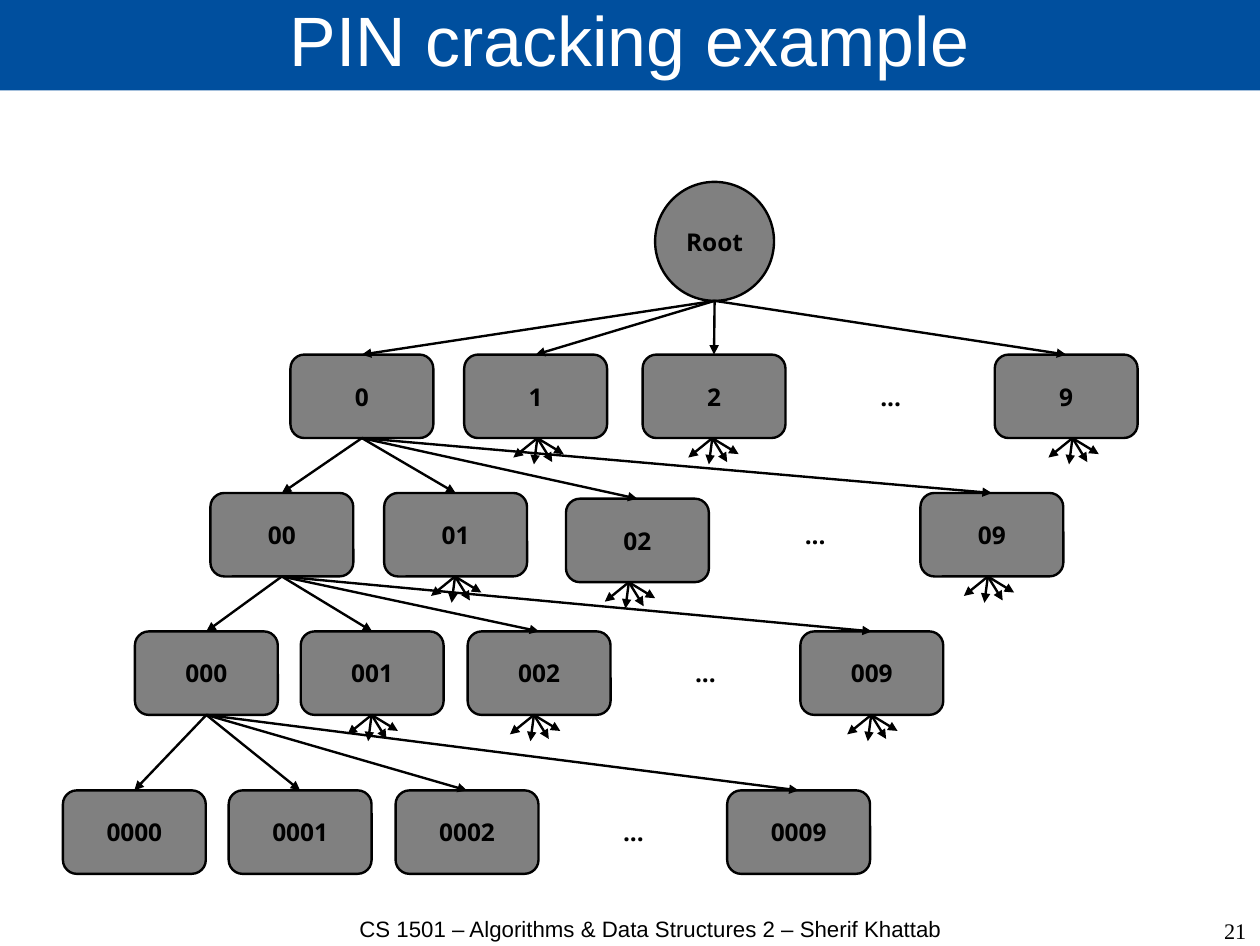
from dataclasses import dataclass

from lxml import etree
from pptx import Presentation
from pptx.dml.color import RGBColor
from pptx.enum.shapes import MSO_CONNECTOR, MSO_SHAPE
from pptx.enum.text import MSO_ANCHOR, PP_ALIGN
from pptx.oxml.ns import qn
from pptx.util import Inches, Pt

RECT, ROUND, OVAL = MSO_SHAPE.RECTANGLE, MSO_SHAPE.ROUNDED_RECTANGLE, MSO_SHAPE.OVAL
STRAIGHT = MSO_CONNECTOR.STRAIGHT
CENTER, RIGHT = PP_ALIGN.CENTER, PP_ALIGN.RIGHT
TOP, MIDDLE, BOTTOM = MSO_ANCHOR.TOP, MSO_ANCHOR.MIDDLE, MSO_ANCHOR.BOTTOM


@dataclass(frozen=True)
class Theme:
    blue: RGBColor = RGBColor(0x00, 0x4F, 0x9E)
    gray: RGBColor = RGBColor(0x80, 0x80, 0x80)
    black: RGBColor = RGBColor(0, 0, 0)
    white: RGBColor = RGBColor(0xFF, 0xFF, 0xFF)
    head_font: str = "Arial"
    node_font: str = "Open Sans"
    page_font: str = "Times New Roman"
    head_size: float = 44
    node_size: float = 15.4
    foot_size: float = 14
    stroke: float = 1.5


BOX_W, BOX_H = 1.25, 0.73
DOTS_W, DOTS_H = 0.88, 0.48
FAN = [(0.23, 0.14), (0.13, 0.21), (-0.03, 0.23), (-0.21, 0.17)]

# prefix, top, dots left, [(digit, left, drop, fan centre)]
LEVELS = [
    ("", 3.1, 7.35,
     [("0", 2.54, 0, None), ("1", 4.06, 0, 4.7), ("2", 5.62, 0, 6.23), ("9", 8.7, 0, 9.38)]),
    ("0", 4.31, 6.69,
     [("0", 1.84, 0, None), ("1", 3.36, 0, 3.98), ("2", 4.95, 0.05, 5.5), ("9", 8.05, 0, 8.64)]),
    ("00", 5.52, 5.73,
     [("0", 1.18, 0, None), ("1", 2.63, 0, 3.25), ("2", 4.09, 0, 4.67), ("9", 7, 0, 7.62)]),
    ("000", 6.91, 5.1,
     [("0", 0.55, 0, None), ("1", 2, 0, None), ("2", 3.46, 0, None), ("9", 6.36, 0, None)]),
]


def write(shape, text, *, font, size, color, bold=False, align=CENTER,
          anchor=MIDDLE, inset=0.11, spacing=1.0):
    frame = shape.text_frame
    frame.word_wrap = True
    frame.vertical_anchor = anchor
    frame.margin_left = frame.margin_right = Inches(inset)
    frame.margin_top = frame.margin_bottom = Inches(inset)
    para = frame.paragraphs[0]
    para.alignment = align
    para.line_spacing = spacing
    run = para.add_run()
    run.text = text
    run.font.name = font
    run.font.size = Pt(size)
    run.font.bold = bold
    run.font.color.rgb = color


class Board:
    def __init__(self, slide, theme):
        self.slide = slide
        self.theme = theme
        self.label = dict(font=theme.node_font, size=theme.node_size,
                          color=theme.black, bold=True)

    def block(self, kind, box, fill):
        shape = self.slide.shapes.add_shape(kind, *map(Inches, box))
        shape.shadow.inherit = False
        shape.fill.solid()
        shape.fill.fore_color.rgb = fill
        shape.line.fill.background()
        return shape

    def text(self, text, box, **style):
        write(self.slide.shapes.add_textbox(*map(Inches, box)), text, **style)

    def node(self, kind, text, box):
        shape = self.block(kind, box, self.theme.gray)
        shape.line.color.rgb = self.theme.black
        shape.line.width = Pt(self.theme.stroke)
        write(shape, text, **self.label)
        return shape

    def arrow(self, start, end):
        link = self.slide.shapes.add_connector(STRAIGHT, *map(Inches, (*start, *end)))
        link.line.color.rgb = self.theme.black
        link.line.width = Pt(self.theme.stroke)
        props = link._element.spPr
        etree.SubElement(props.find(qn("a:ln")), qn("a:tailEnd"), type="triangle")
        etree.SubElement(props, qn("a:effectLst"))
        return link

    def fan(self, x, y):
        for dx, dy in FAN:
            self.arrow((x, y), (x + dx, y + dy))

    def level(self, prefix, top, dots, nodes, source, parent=None):
        boxes = []
        for digit, left, drop, fan in nodes:
            y = top + drop
            box = self.node(ROUND, prefix + digit, (left, y, BOX_W, BOX_H))
            link = self.arrow(source, (left + BOX_W / 2, y))
            if parent is not None:
                link.begin_connect(parent, 2)
            link.end_connect(box, 0)
            if fan is not None:
                self.fan(fan, y + BOX_H)
            boxes.append(box)
        self.text("...", (dots, top + (BOX_H - DOTS_H) / 2, DOTS_W, DOTS_H), **self.label)
        return boxes[0], (nodes[0][1] + BOX_W / 2, top + BOX_H)


def main():
    deck = Presentation()
    deck.slide_width, deck.slide_height = Inches(11.02), Inches(8.27)
    theme = Theme()
    board = Board(deck.slides.add_slide(deck.slide_layouts[6]), theme)

    title = board.block(RECT, (0, 0, 11.02, 0.79), theme.blue)
    write(title, "PIN cracking example", font=theme.head_font, size=theme.head_size,
          color=theme.white, anchor=BOTTOM, spacing=0.69)

    board.node(OVAL, "Root", (5.73, 1.59, 1.04, 1.04))
    parent, source = None, (6.25, 2.63)
    for level in LEVELS:
        parent, source = board.level(*level, source, parent)

    board.text("CS 1501 – Algorithms & Data Structures 2 – Sherif Khattab",
               (3.07, 8.02, 5.24, 0.25), font=theme.head_font, size=theme.foot_size,
               color=theme.black, anchor=TOP, inset=0, spacing=0.96)
    board.text("21", (8.48, 8, 2.42, 0.27), font=theme.page_font,
               size=theme.foot_size, color=theme.black, align=RIGHT, inset=0)
    deck.save("out.pptx")


if __name__ == "__main__":
    main()
